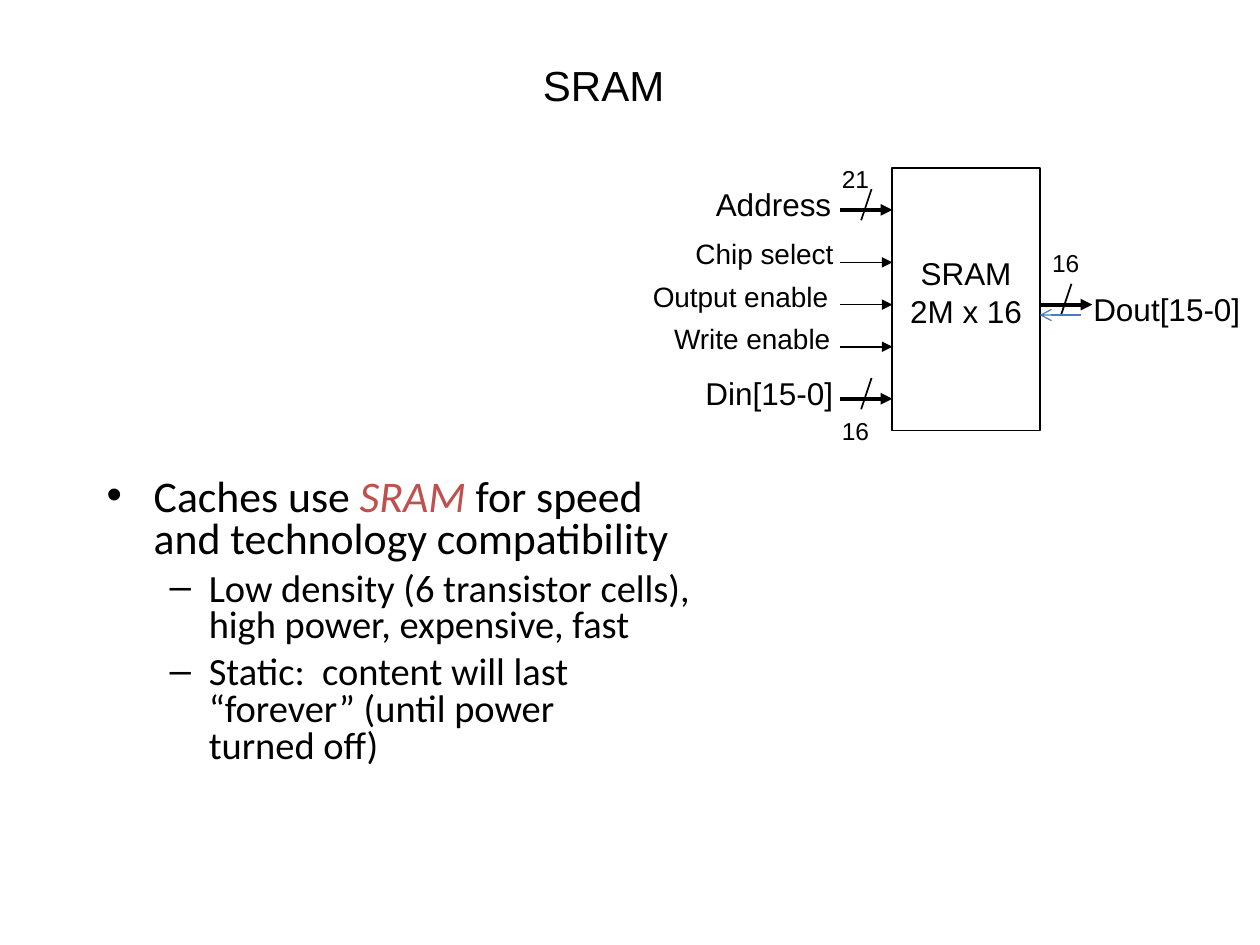
from lxml import etree
from pptx import Presentation
from pptx.dml.color import RGBColor
from pptx.enum.shapes import MSO_CONNECTOR as LINK, MSO_SHAPE as SHAPE
from pptx.enum.text import PP_ALIGN as ALIGN
from pptx.oxml.ns import qn
from pptx.util import Cm, Pt

COLORS = {"ink": "000000", "accent": "C0504D", "return": "4A7EBB"}

deck = Presentation()
deck.slide_width, deck.slide_height = Cm(25.4), Cm(19.05)
page = deck.slides.add_slide(deck.slide_layouts[6])


def add_text(area, lines, size, align=ALIGN.LEFT):
    box = page.shapes.add_textbox(*map(Cm, area))
    frame = box.text_frame
    frame.word_wrap = True
    for index, line in enumerate(lines):
        para = frame.paragraphs[0] if index == 0 else frame.add_paragraph()
        para.alignment = align
        span = para.add_run()
        span.text = line
        for name, value in {"size": Pt(size), "name": "Arial"}.items():
            setattr(span.font, name, value)
        span.font.color.rgb = RGBColor.from_string(COLORS["ink"])


def add_line(start, end, width=1, color="ink", head=None):
    line = page.shapes.add_connector(LINK.STRAIGHT, *map(Cm, start + end))
    line.line.width = Pt(width)
    line.line.color.rgb = RGBColor.from_string(COLORS[color])
    if head:
        outline = line.line._get_or_add_ln()
        etree.SubElement(outline, qn("a:tailEnd"), type=head)
    etree.SubElement(line._element.spPr, qn("a:effectLst"))


# Title
add_text((9.73, 1.07, 4.88, 1.27), ["SRAM"], 24, ALIGN.CENTER)

# Bulleted text: level, runs of (text, colour, italic)
points = [
    (0, [("Caches use ", "ink", False), ("SRAM ", "accent", True),
         ("for speed and technology compatibility", "ink", False)]),
    (1, [("Low density (6 transistor cells), high power, expensive, fast",
          "ink", False)]),
    (1, [("Static:  content will last\v“forever” (until power\vturned off)",
          "ink", False)]),
]
levels = [
    {"size": 25, "before": 6.2, "left": 0.95, "hang": 0.95, "mark": "•"},
    {"size": 22, "before": 5.5, "left": 2.06, "hang": 0.79, "mark": "–"},
]
body = page.shapes.add_textbox(Cm(1.9), Cm(9.53), Cm(12.5), Cm(8.03)).text_frame
body.word_wrap = True
for index, (level, spans) in enumerate(points):
    style = levels[level]
    para = body.paragraphs[0] if index == 0 else body.add_paragraph()
    for name, value in {"level": level, "line_spacing": 0.8,
                        "space_before": Pt(style["before"])}.items():
        setattr(para, name, value)
    layout = para._p.get_or_add_pPr()
    layout.set("marL", str(Cm(style["left"])))
    layout.set("indent", str(-Cm(style["hang"])))
    tint = etree.SubElement(layout, qn("a:buClr"))
    etree.SubElement(tint, qn("a:srgbClr"), val=COLORS["ink"])
    etree.SubElement(layout, qn("a:buFont"), typeface="Arial")
    etree.SubElement(layout, qn("a:buChar"), char=style["mark"])
    for text, color, italic in spans:
        # Each forced line break separates two runs
        for part, piece in enumerate(text.split("\v")):
            if part:
                para.add_line_break()
            span = para.add_run()
            span.text = piece
            for name, value in {"size": Pt(style["size"]), "name": "Calibri",
                                "italic": italic}.items():
                setattr(span.font, name, value)
            span.font.color.rgb = RGBColor.from_string(COLORS[color])

# Memory block
chip_left, chip_right = 17.99, 20.96
chip = page.shapes.add_shape(SHAPE.RECTANGLE, Cm(chip_left), Cm(3.39),
                             Cm(chip_right - chip_left), Cm(5.29))
chip.shadow.inherit = False
chip.fill.background()
chip.line.width = Pt(1)
chip.line.color.rgb = RGBColor.from_string(COLORS["ink"])
add_text((chip_left, 5, 2.97, 1.78), ["SRAM", "2M x 16"], 18, ALIGN.CENTER)

# Signals: label, label area, label size, arrow start, arrow y, is a bus
pin = 1.06
inputs = chip_left - pin
signals = [
    ("Address", (14.18, 3.61, 3.61, 1.02), 18, inputs, 4.23, True),
    ("Chip select", (13.77, 4.65, 3.81, 0.94), 16, inputs, 5.29, False),
    ("Output enable", (12.91, 5.51, 4.65, 0.94), 16, inputs, 6.14, False),
    ("Write enable", (13.34, 6.35, 4.65, 0.94), 16, inputs, 6.99, False),
    ("Din[15-0]", (13.97, 7.42, 3.61, 1.02), 18, inputs, 8.04, True),
    ("Dout[15-0]", (21.79, 5.72, 3.61, 1.02), 18, chip_right, 6.14, True),
]
for label, area, size, left, y, is_bus in signals:
    add_text(area, [label], size)
    add_line((left, y), (left + pin, y), 2.25 if is_bus else 1, head="triangle")
    if is_bus:
        add_line((left + 0.64, y - 0.42), (left + 0.43, y + 0.21))

# Bus widths
for width, left, top in [("21", 16.72, 3.18), ("16", 16.72, 8.26),
                         ("16", 20.96, 4.88)]:
    add_text((left, top, 1.7, 0.86), [width], 14)

# Return arrow
add_line((21.8, 6.35), (chip_right, 6.35), 0.75, "return", "arrow")

deck.save("out.pptx")
